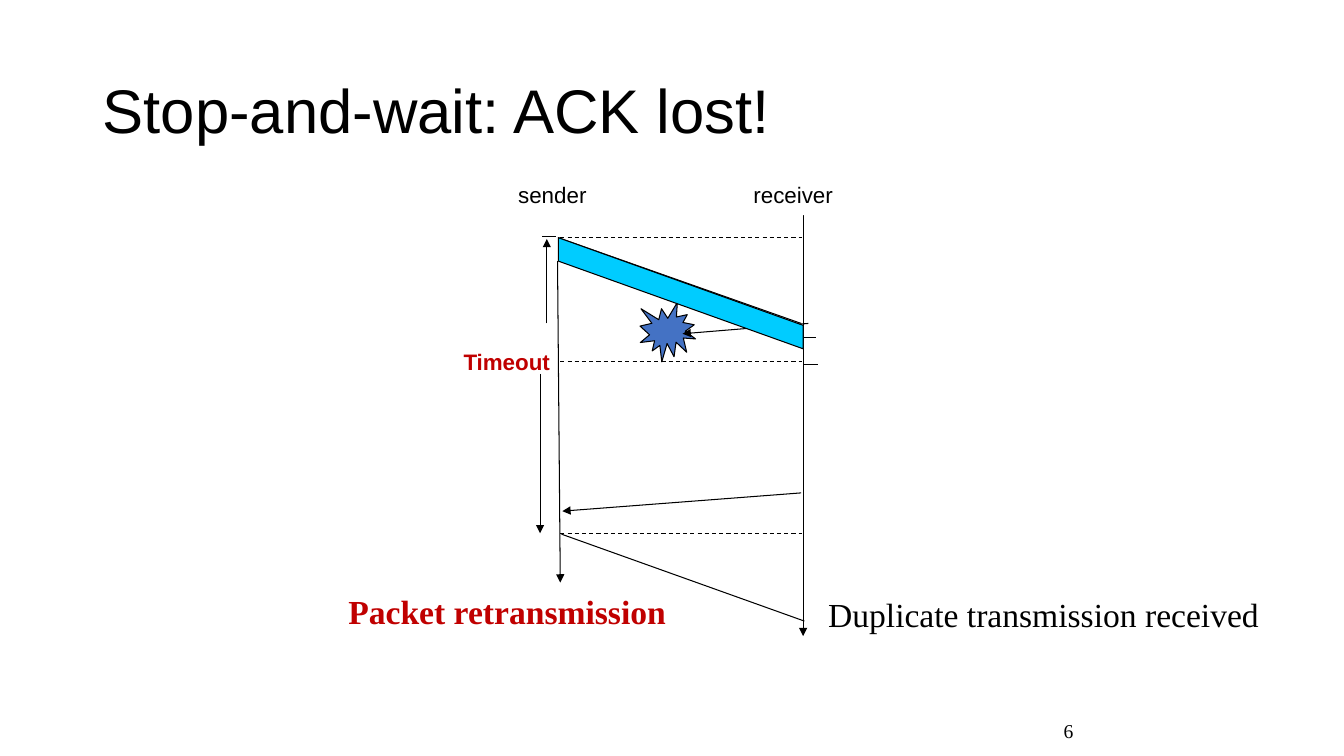
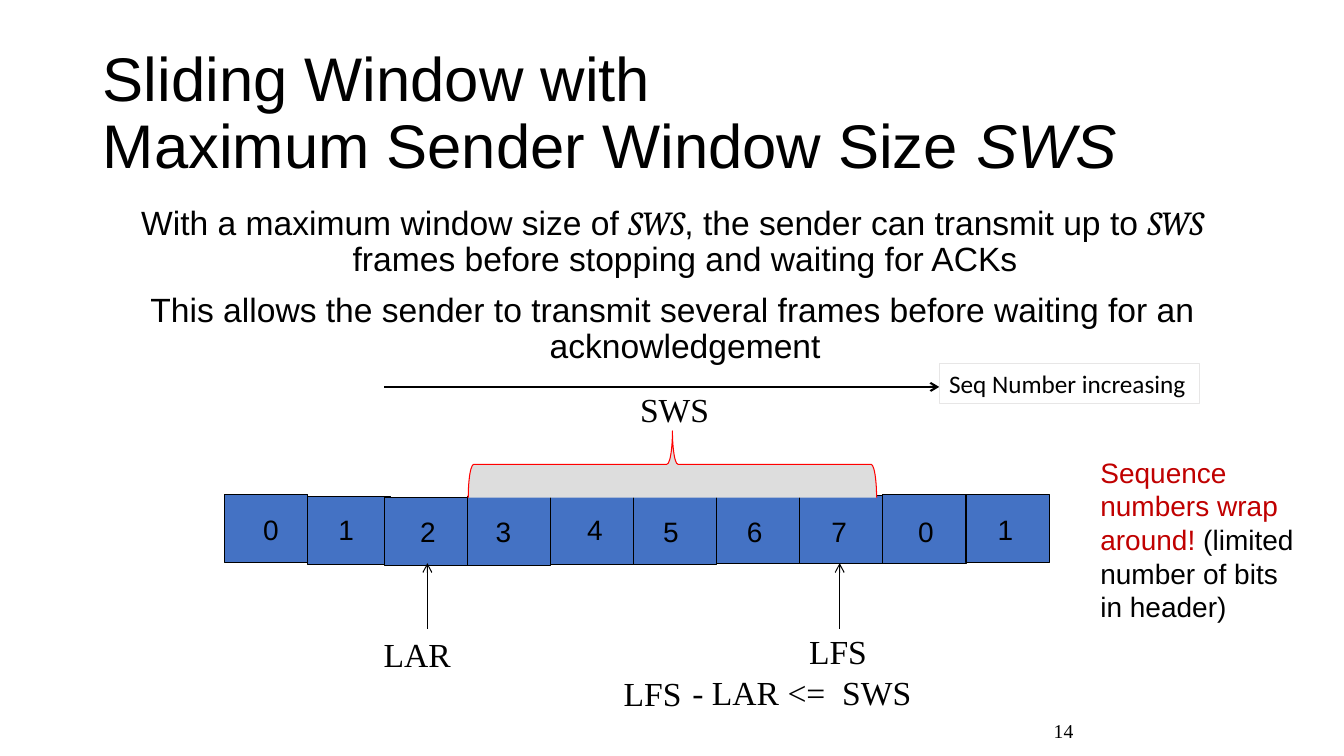
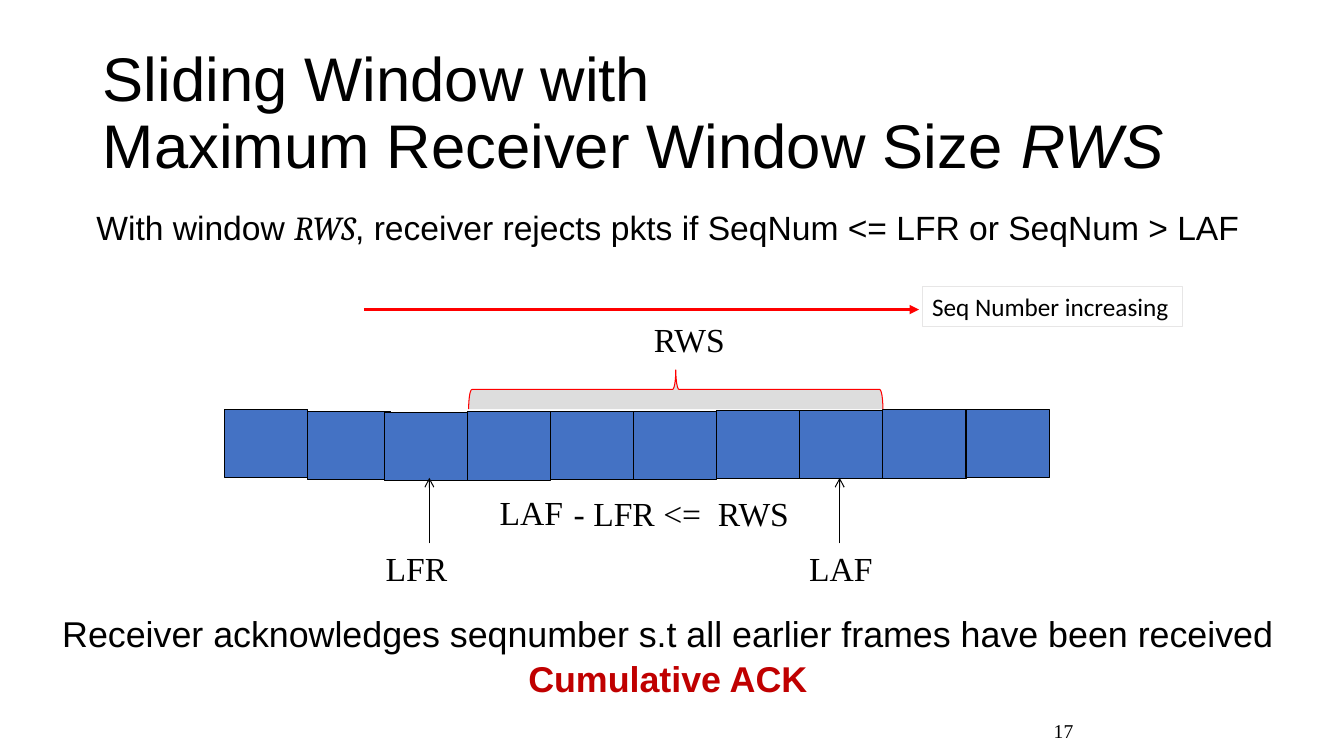
from pptx import Presentation, dml, util as u
from pptx.dml import color
from pptx.enum import dml as line_kinds, shapes, text
from pptx.oxml import ns, xmlchemy

BLACK, WHITE, RED, CRIMSON = "000000", "FFFFFF", "FF0000", "C00000"
BLUE, CYAN, GREY, PALE = "4472C4", "00CCFF", "DDDDDD", "E7E6E6"
SANS, SERIF, MATH, LABEL = "Arial", "Times New Roman", "Cambria", "Calibri"
RIGHT, CENTER = text.PP_ALIGN.RIGHT, text.PP_ALIGN.CENTER
MIDDLE, BOTTOM = text.MSO_ANCHOR.MIDDLE, text.MSO_ANCHOR.BOTTOM


def rgb(value):
    return color.RGBColor.from_string(value)


class Lecture:
    """Builds the lecture slides in one shared style, with lengths in centimetres."""

    def __init__(self):
        self.deck = Presentation()
        self.deck.slide_width, self.deck.slide_height = u.Cm(33.87), u.Cm(19.05)
        self.page = None

    def new_page(self, title, number, anchor=BOTTOM):
        self.page = self.deck.slides.add_slide(self.deck.slide_layouts[6])
        self.text([title], 2.34, 1.02, 29.21, 3.68, size=44, anchor=anchor, spacing=0.9)
        self.text([str(number)], 19.25, 17.78, 8.05, 1.27, size=14, font=SERIF,
                  align=RIGHT, anchor=MIDDLE)

    def set_font(self, font, name=None, size=None, tint=None, bold=None, italic=None):
        if name:
            font.name = name
        if size:
            font.size = u.Pt(size)
        if tint:
            font.color.rgb = rgb(tint)
        if bold is not None:
            font.bold = bold
        if italic is not None:
            font.italic = italic

    def paint(self, shape, fill=None, line=None):
        if fill:
            shape.fill.solid()
            shape.fill.fore_color.rgb = rgb(fill)
        else:
            shape.fill.background()
        if line:
            shape.line.color.rgb = rgb(line)
            shape.line.width = u.Pt(0.75)
        else:
            shape.line.fill.background()

    def text(self, paragraphs, left, top, width, height, size=24, font=SANS, tint=BLACK,
             bold=None, align=None, anchor=None, spacing=None, before=0, hanging=0,
             wrap=True, fill=None, line=None):
        box = self.page.shapes.add_textbox(u.Cm(left), u.Cm(top), u.Cm(width), u.Cm(height))
        self.paint(box, fill, line)
        frame = box.text_frame
        frame.word_wrap = wrap
        if anchor is not None:
            frame.vertical_anchor = anchor
        for index, content in enumerate(paragraphs):
            para = frame.paragraphs[0] if index == 0 else frame.add_paragraph()
            para.alignment = align
            para.line_spacing = spacing
            if index and before:
                para.space_before = u.Pt(before)
            if hanging:
                properties = para._p.get_or_add_pPr()
                properties.set("marL", str(u.Cm(hanging)))
                properties.set("indent", str(-u.Cm(hanging)))
            self.set_font(para.font, font, size, tint, bold)
            self.fill_paragraph(para, [content] if isinstance(content, str) else content)

    def fill_paragraph(self, para, spans):
        for content in spans:
            words, style = (content, {}) if isinstance(content, str) else content
            for index, part in enumerate(words.split("\n")):
                if index:
                    para.add_line_break()
                span = para.add_run()
                span.text = part
                self.set_font(span.font, **style)

    def serif(self, words, left, top, width, **style):
        self.text([words], left, top, width, 1.3, font=SERIF, wrap=False, **style)

    def line(self, x1, y1, x2, y2, tint=BLACK, weight=0.75, head=None, dashed=False):
        link = self.page.shapes.add_connector(
            shapes.MSO_CONNECTOR.STRAIGHT, u.Cm(x1), u.Cm(y1), u.Cm(x2), u.Cm(y2))
        link.line.color.rgb = rgb(tint)
        link.line.width = u.Pt(weight)
        if dashed:
            link.line.dash_style = line_kinds.MSO_LINE.DASH
        if head:
            tail = xmlchemy.OxmlElement("a:tailEnd")
            tail.set("type", head)
            link.line._get_or_add_ln().append(tail)
        link._element.spPr.append(xmlchemy.OxmlElement("a:effectLst"))

    def shape(self, kind, left, top, width, height, fill, line=BLACK):
        shape = self.page.shapes.add_shape(
            kind, u.Cm(left), u.Cm(top), u.Cm(width), u.Cm(height))
        shape.shadow.inherit = False
        self.paint(shape, fill, line)
        return shape

    def outline(self, points, fill):
        corners = [(u.Cm(x), u.Cm(y)) for x, y in points]
        builder = self.page.shapes.build_freeform(*corners[0])
        builder.add_line_segments(corners[1:], close=True)
        shape = builder.convert_to_shape()
        shape.shadow.inherit = False
        self.paint(shape, fill, BLACK)

    def brace(self, left, top, width, height):
        shift = (width - height) / 2
        brace = self.shape(shapes.MSO_SHAPE.LEFT_BRACE, left + shift, top - shift,
                           height, width, GREY, RED)
        brace.rotation = 90

    def frames(self, top):
        for index in range(10):
            left = 5.66 + 2.09 * index if index < 2 else 9.68 + 2.095 * (index - 2)
            dip = 0.05 * index if index < 2 else 0.1 - 0.01 * index
            self.shape(shapes.MSO_SHAPE.RECTANGLE, left, top + dip, 2.1, 1.72, BLUE)

    def direction(self, left, top, tint, weight, head, gap):
        self.line(left, top, left + 13.99, top, tint, weight, head)
        self.text(["Seq Number increasing"], left + 13.99 + gap, top - 0.59, 6.55, 1.02,
                  size=18, font=LABEL, anchor=MIDDLE, wrap=False, line=PALE)

    def pointers(self, bottom, tip, *columns):
        for x in columns:
            self.line(x, bottom, x, tip, head="arrow")


def ack_lost(lecture):
    lecture.new_page("Stop-and-wait: ACK lost!", 6, anchor=MIDDLE)
    lecture.line(14.07, 5.99, 20.19, 8.15)
    lecture.line(14.05, 6.58, 14.12, 14.68, head="triangle")
    lecture.line(20.24, 5.41, 20.24, 16.03, head="triangle")
    for role, left, width in (("sender", 12.57, 2.46), ("receiver", 18.62, 2.62)):
        lecture.text([role], left, 4.45, width, 0.97, size=16, align=RIGHT, fill=WHITE)
    for y in (5.98, 9.12, 13.44):
        lecture.line(14.12, y, 20.21, y, dashed=True)
    for start, end, y in ((13.67, 14.02, 5.97), (20.19, 20.57, 8.51), (20.27, 20.62, 9.19)):
        lecture.line(start, y, end, y)
    lecture.text(["Timeout"], 11.25, 8.66, 2.86, 0.94, size=16, tint=CRIMSON, bold=True,
                 align=RIGHT)
    lecture.line(13.61, 9.42, 13.61, 13.44, head="triangle")
    lecture.line(13.78, 8.15, 13.78, 6.02, head="triangle")
    lecture.shape(shapes.MSO_SHAPE.EXPLOSION1, 16.13, 7.62, 1.4, 1.5, BLUE)
    lecture.line(20.19, 12.42, 14.17, 12.88, head="triangle")
    lecture.line(20.37, 8.15, 17.2, 8.41, head="triangle")
    lecture.line(14.15, 13.46, 20.27, 15.65)
    lecture.outline([(14.07, 5.99), (20.24, 8.2), (20.24, 8.79), (14.07, 6.58)], CYAN)
    lecture.serif("Packet retransmission", 8.53, 14.76, 8.59, tint=CRIMSON, bold=True)
    lecture.serif("Duplicate transmission received", 20.62, 14.83, 11.46)


def sender_window(lecture):
    symbol = ("SWS", {"name": MATH, "italic": True})
    lecture.new_page(["Sliding Window with\nMaximum Sender Window Size ",
                      ("SWS", {"italic": True})], 14)
    lecture.text([["With a maximum window size of ", symbol,
                   ", the sender can transmit up to ", symbol,
                   " frames before stopping and waiting for ACKs"],
                  "This allows the sender to transmit several frames before waiting "
                  "for an acknowledgement"],
                 2.34, 5.08, 29.21, 4.2, align=CENTER, spacing=0.9, before=10, hanging=0.64)
    lecture.frames(12.45)
    lecture.brace(11.8, 10.86, 10.29, 1.68)
    lecture.serif("SWS", 15.88, 9.68, 2.26)
    lecture.serif("LAR", 9.42, 15.85, 2.24)
    lecture.serif("LFS", 20.14, 15.77, 1.98)
    lecture.pointers(15.84, 14.19, 10.77, 21.16)
    lecture.serif("LFS", 15.47, 16.84, 1.98)
    lecture.serif("- LAR <=  SWS", 17.2, 16.81, 6.09)
    lecture.direction(9.68, 9.75, BLACK, 1.5, "arrow", 0)
    digits = ((6.38, 12.78), (8.28, 12.8), (10.34, 12.83), (12.24, 12.85), (14.55, 12.8),
              (16.46, 12.83), (18.57, 12.85), (20.7, 12.85), (22.89, 12.85), (24.89, 12.78))
    for index, (left, top) in enumerate(digits):
        lecture.text([str(index % 8)], left, top, 1.04, 1.12, size=20)
    lecture.text([[("Sequence numbers wrap around!", {"tint": CRIMSON}),
                   " (limited number of bits in header)"]],
                 27.48, 11.35, 5.59, 4.52, size=20)


def receiver_window(lecture):
    lecture.new_page(["Sliding Window with\nMaximum Receiver Window Size ",
                      ("RWS", {"italic": True})], 17)
    lecture.text([["With window ", ("RWS", {"name": MATH, "italic": True}),
                   ", receiver rejects pkts if SeqNum <= LFR or SeqNum > LAF"]],
                 0.79, 5.08, 32.08, 1.3, align=CENTER)
    lecture.text(["Receiver acknowledges seqnumber s.t all earlier frames have been received",
                  [("Cumulative ACK", {"tint": CRIMSON, "bold": True})]],
                 0.79, 15.28, 32.08, 2.6, size=25.6, align=CENTER, before=2)
    lecture.frames(10.31)
    lecture.brace(11.81, 9.32, 10.44, 0.99)
    lecture.serif("RWS", 16.23, 7.92, 2.31)
    lecture.serif("LFR", 9.47, 13.69, 2.08)
    lecture.serif("LAF", 20.14, 13.67, 2.13)
    lecture.pointers(13.69, 12.04, 10.82, 21.16)
    lecture.serif("LAF", 12.34, 12.27, 2.13)
    lecture.serif("- LFR <=  RWS", 14.21, 12.29, 5.99)
    lecture.direction(9.17, 7.8, RED, 2.25, "triangle", 0.08)


def main():
    lecture = Lecture()
    for build in (ack_lost, sender_window, receiver_window):
        build(lecture)
    lecture.deck.save("out.pptx")


if __name__ == "__main__":
    main()
